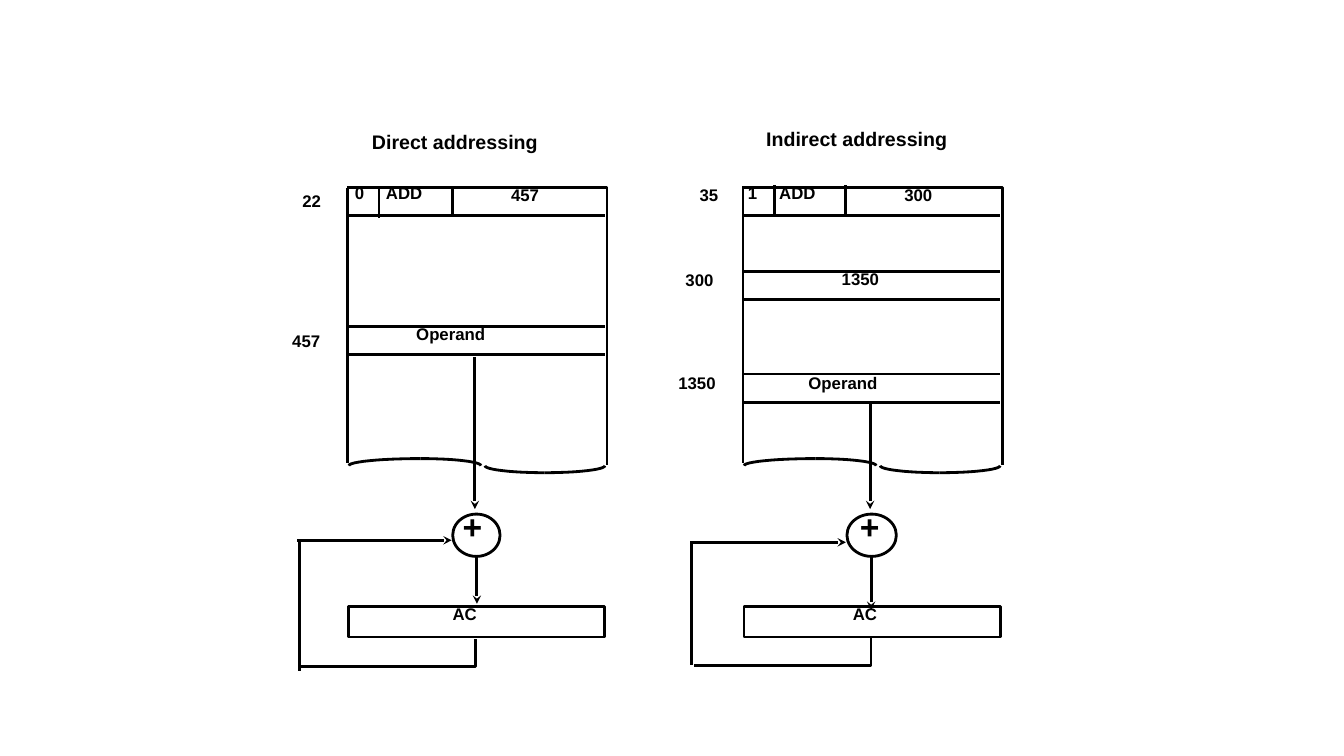
import math
from lxml import etree
from pptx import Presentation
from pptx import util as u
from pptx.dml.color import RGBColor
from pptx.enum import shapes, text
from pptx.oxml.ns import qn

COLORS = {"ink": "000000", "page": "FFFFFF"}
FONT = "Arial"
BODY, HEADING, PLUS = 12, 14, 24
STROKE = 2

# Content: labels are (text, left, top, width, height, size)
PANELS = [
    {
        "left": 3.46,
        "labels": [
            ("Direct addressing", 3.59, 1.27, 2.41, 0.45, HEADING),
            ("0", 3.42, 1.79, 0.38, 0.41, BODY),
            ("ADD", 3.73, 1.79, 0.73, 0.41, BODY),
            ("457", 4.97, 1.81, 0.62, 0.41, BODY),
            ("22", 2.9, 1.87, 0.5, 0.41, BODY),
            ("Operand", 4.03, 3.18, 1.16, 0.41, BODY),
            ("457", 2.8, 3.25, 0.62, 0.41, BODY),
            ("+", 4.49, 5.02, 0.52, 0.67, PLUS),
            ("AC", 4.39, 5.96, 0.57, 0.41, BODY),
        ],
        "row_lines": [2.14, 3.24, 3.52],
        "field_lines": [(3.76, 1.87, 2.16), (4.49, 1.87, 2.13)],
        "adder": (4.49, 5.1, 0.47, 0.42),
        "arrows": [(4.71, 3.54, 4.71, 5.05), (4.73, 5.52, 4.73, 5.99),
                   (2.95, 5.36, 4.48, 5.36)],
        "feedback": [(4.72, 6.34), (4.72, 6.61), (2.98, 6.61)],
        "return_line": (2.97, 5.37, 2.97, 6.66),
    },
    {
        "left": 7.38,
        "labels": [
            ("Indirect addressing", 7.5, 1.24, 2.61, 0.45, HEADING),
            ("1", 7.32, 1.79, 0.38, 0.41, BODY),
            ("ADD", 7.63, 1.79, 0.73, 0.41, BODY),
            ("300", 8.87, 1.81, 0.62, 0.41, BODY),
            ("35", 6.84, 1.81, 0.5, 0.41, BODY),
            ("1350", 8.25, 2.64, 0.74, 0.41, BODY),
            ("300", 6.7, 2.65, 0.62, 0.41, BODY),
            ("Operand", 7.92, 3.67, 1.16, 0.41, BODY),
            ("1350", 6.63, 3.67, 0.74, 0.41, BODY),
            ("+", 8.43, 5.02, 0.52, 0.67, PLUS),
            ("AC", 8.36, 5.96, 0.57, 0.41, BODY),
        ],
        "row_lines": [2.14, 2.69, 2.97, 3.71, 3.99],
        "field_lines": [(7.68, 1.84, 2.13), (8.39, 1.84, 2.13)],
        "adder": (8.4, 5.1, 0.49, 0.42),
        "arrows": [(8.63, 3.99, 8.63, 5.05), (8.64, 5.54, 8.64, 6.05),
                   (6.86, 5.38, 8.39, 5.38)],
        "feedback": [(8.64, 6.32), (8.64, 6.6), (6.88, 6.6)],
        "return_line": (6.86, 5.37, 6.86, 6.6),
    },
]

# Memory block, shared by both panels
MEMORY_WIDTH, MEMORY_TOP, MEMORY_BOTTOM = 2.54, 1.86, 4.61
WAVE_Y, WAVE_HEIGHT = 4.62, 0.07
# Quarter waves: (offset of centre, signed width, direction of bulge)
QUARTER_WAVES = [(0.71, -0.71, -1), (0.71, 0.6, -1),
                 (1.94, -0.59, 1), (1.94, 0.6, 1)]
WAVE_STEPS = 12
ACCUMULATOR_TOP, ACCUMULATOR_HEIGHT = 6.02, 0.3

deck = Presentation()
deck.slide_width, deck.slide_height = u.Inches(13.33), u.Inches(7.5)
slide = deck.slides.add_slide(deck.slide_layouts[6])
slide.background.fill.solid()
slide.background.fill.fore_color.rgb = RGBColor.from_string(COLORS["page"])


def ink_line(line):
    line.color.rgb = RGBColor.from_string(COLORS["ink"])
    line.width = u.Pt(STROKE)


def outline_only(shape):
    shape.fill.background()
    shape.shadow.inherit = False
    ink_line(shape.line)


def add_outline(kind, *box):
    outline_only(slide.shapes.add_shape(kind, *map(u.Inches, box)))


def add_path(points):
    start, *rest = [(u.Inches(x), u.Inches(y)) for x, y in points]
    builder = slide.shapes.build_freeform(*start)
    builder.add_line_segments(rest, close=False)
    outline_only(builder.convert_to_shape())


def add_line(x1, y1, x2, y2, arrow=False):
    line = slide.shapes.add_connector(
        shapes.MSO_CONNECTOR.STRAIGHT, *map(u.Inches, (x1, y1, x2, y2)))
    ink_line(line.line)
    if arrow:
        etree.SubElement(line.line._get_or_add_ln(), qn("a:tailEnd"), type="stealth")
    etree.SubElement(line._element.spPr, qn("a:effectLst"))


def add_label(words, left, top, width, height, size):
    frame = slide.shapes.add_textbox(
        *map(u.Inches, (left, top, width, height))).text_frame
    frame.word_wrap = True
    frame.vertical_anchor = text.MSO_ANCHOR.TOP
    paragraph = frame.paragraphs[0]
    paragraph.line_spacing = 0.9
    run = paragraph.add_run()
    run.text = words
    run.font.name, run.font.size, run.font.bold = FONT, u.Pt(size), True
    run.font.color.rgb = RGBColor.from_string(COLORS["ink"])


for panel in PANELS:
    left = panel["left"]
    right = left + MEMORY_WIDTH

    # Memory frame, rows and instruction fields
    add_path([(left - 0.02, MEMORY_TOP), (right + 0.02, MEMORY_TOP),
              (right + 0.02, MEMORY_BOTTOM)])
    add_line(left - 0.01, 1.87, left - 0.01, 4.59)
    for y in panel["row_lines"]:
        add_line(left, y, right, y)
    for x, top, bottom in panel["field_lines"]:
        add_line(x, top, x, bottom)

    # Torn lower edge
    for offset, width, bulge in QUARTER_WAVES:
        angles = [i * math.pi / 2 / WAVE_STEPS for i in range(WAVE_STEPS + 1)]
        add_path([(left + offset + width * math.cos(a),
                   WAVE_Y + bulge * WAVE_HEIGHT * math.sin(a)) for a in angles])

    # Adder, accumulator and feedback loop
    add_outline(shapes.MSO_SHAPE.OVAL, *panel["adder"])
    add_outline(shapes.MSO_SHAPE.RECTANGLE, left, ACCUMULATOR_TOP,
                MEMORY_WIDTH, ACCUMULATOR_HEIGHT)
    add_path(panel["feedback"])
    add_line(*panel["return_line"])
    for ends in panel["arrows"]:
        add_line(*ends, arrow=True)

    # Labels
    for label in panel["labels"]:
        add_label(*label)

deck.save("out.pptx")
